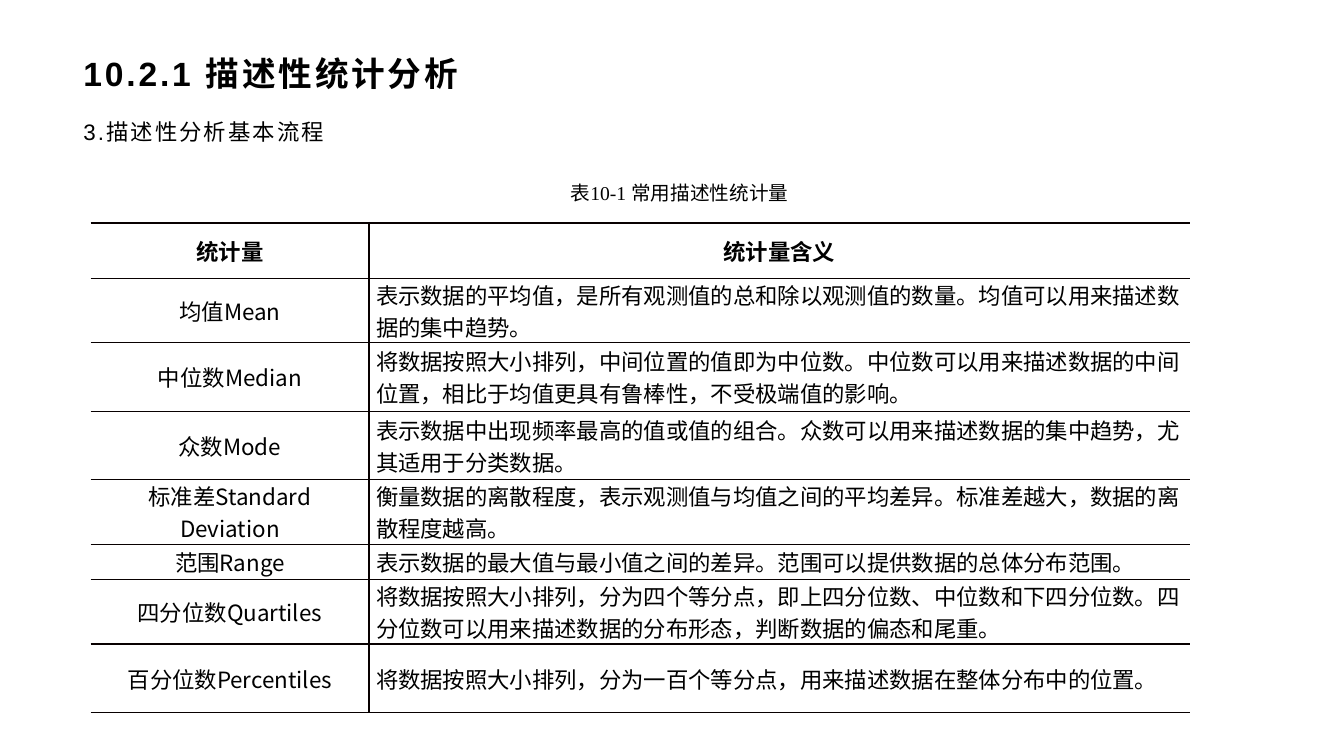
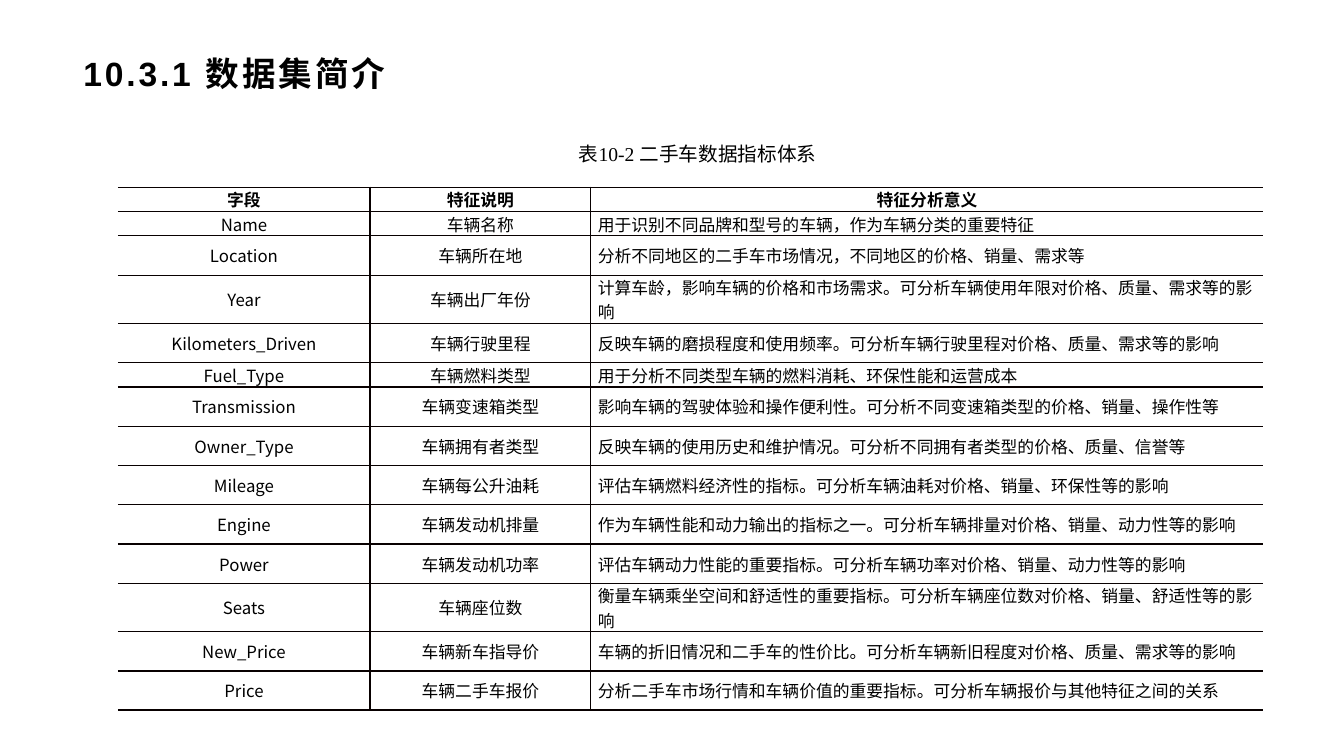
from dataclasses import dataclass

import pptx
import pptx.dml.color
import pptx.enum.text
import pptx.oxml
import pptx.oxml.ns
import pptx.presentation
import pptx.slide
import pptx.table
import pptx.text.text
import pptx.util

Inches = pptx.util.Inches
Align = pptx.enum.text.PP_ALIGN
Anchor = pptx.enum.text.MSO_ANCHOR

COLORS = {"text": "000000", "rule": "080000"}
LATIN, HAN, SERIF = "Arial", "Noto Sans CJK SC", "Times New Roman"
PLAIN = "{2D5ABB26-0587-4C30-8999-92F81FD0307C}"
THIN, THICK = 1, 1.5


@dataclass
class Grid:
    left: float
    top: float
    cols: list[float]
    rows: list[float]
    size: int
    cells: list[tuple[str, ...]]


@dataclass
class Page:
    title: str
    label: str
    spot: tuple[float, float]
    grid: Grid
    lead: str = ""


PAGES = [
    Page(
        "10.2.1 描述性统计分析",
        "表10-1 常用描述性统计量",
        (3.89, 1.75),
        Grid(
            0.9, 2.21, [2.76, 8.14],
            [0.55, 0.64, 0.68, 0.68, 0.64, 0.35, 0.64, 0.68], 16,
            [
                ("统计量", "统计量含义"),
                ("均值Mean", "表示数据的平均值，是所有观测值的总和除以观测值的数量。均值可以用来描述数据的集中趋势。"),
                ("中位数Median", "将数据按照大小排列，中间位置的值即为中位数。中位数可以用来描述数据的中间位置，相比于均值更具有鲁棒性，不受极端值的影响。"),
                ("众数Mode", "表示数据中出现频率最高的值或值的组合。众数可以用来描述数据的集中趋势，尤其适用于分类数据。"),
                ("标准差Standard Deviation", "衡量数据的离散程度，表示观测值与均值之间的平均差异。标准差越大，数据的离散程度越高。"),
                ("范围Range", "表示数据的最大值与最小值之间的差异。范围可以提供数据的总体分布范围。"),
                ("四分位数Quartiles", "将数据按照大小排列，分为四个等分点，即上四分位数、中位数和下四分位数。四分位数可以用来描述数据的分布形态，判断数据的偏态和尾重。"),
                ("百分位数Percentiles", "将数据按照大小排列，分为一百个等分点，用来描述数据在整体分布中的位置。"),
            ],
        ),
        "3.描述性分析基本流程",
    ),
    Page(
        "10.3.1 数据集简介",
        "表10-2 二手车数据指标体系",
        (4.07, 1.36),
        Grid(
            1.17, 1.86, [2.5, 2.19, 6.67],
            [0.24, 0.24, 0.39, 0.48, 0.39, 0.24] + [0.39] * 5 + [0.48, 0.39, 0.39], 12,
            [
                ("字段", "特征说明", "特征分析意义"),
                ("Name", "车辆名称", "用于识别不同品牌和型号的车辆，作为车辆分类的重要特征"),
                ("Location", "车辆所在地", "分析不同地区的二手车市场情况，不同地区的价格、销量、需求等"),
                ("Year", "车辆出厂年份", "计算车龄，影响车辆的价格和市场需求。可分析车辆使用年限对价格、质量、需求等的影响"),
                ("Kilometers_Driven", "车辆行驶里程", "反映车辆的磨损程度和使用频率。可分析车辆行驶里程对价格、质量、需求等的影响"),
                ("Fuel_Type", "车辆燃料类型", "用于分析不同类型车辆的燃料消耗、环保性能和运营成本"),
                ("Transmission", "车辆变速箱类型", "影响车辆的驾驶体验和操作便利性。可分析不同变速箱类型的价格、销量、操作性等"),
                ("Owner_Type", "车辆拥有者类型", "反映车辆的使用历史和维护情况。可分析不同拥有者类型的价格、质量、信誉等"),
                ("Mileage", "车辆每公升油耗", "评估车辆燃料经济性的指标。可分析车辆油耗对价格、销量、环保性等的影响"),
                ("Engine", "车辆发动机排量", "作为车辆性能和动力输出的指标之一。可分析车辆排量对价格、销量、动力性等的影响"),
                ("Power", "车辆发动机功率", "评估车辆动力性能的重要指标。可分析车辆功率对价格、销量、动力性等的影响"),
                ("Seats", "车辆座位数", "衡量车辆乘坐空间和舒适性的重要指标。可分析车辆座位数对价格、销量、舒适性等的影响"),
                ("New_Price", "车辆新车指导价", "车辆的折旧情况和二手车的性价比。可分析车辆新旧程度对价格、质量、需求等的影响"),
                ("Price", "车辆二手车报价", "分析二手车市场行情和车辆价值的重要指标。可分析车辆报价与其他特征之间的关系"),
            ],
        ),
    ),
]


def write(frame: pptx.text.text.TextFrame, text: str, *, size: int, font: str = LATIN,
          bold: bool = False, align: Align = Align.LEFT, track: float = 0,
          indent: float = 0, lines: float = 1) -> None:
    """Fill a frame with one formatted paragraph; track is in points."""
    frame.word_wrap = True
    para = frame.paragraphs[0]
    para.alignment = align
    para.line_spacing = lines
    if indent:
        para._p.get_or_add_pPr().set("indent", str(Inches(indent)))
    run = para.add_run()
    run.text = text
    run.font.name = font
    run.font.size = pptx.util.Pt(size)
    run.font.bold = bold
    run.font.color.rgb = pptx.dml.color.RGBColor.from_string(COLORS["text"])
    props = run._r.get_or_add_rPr()
    if track:
        props.set("spc", str(int(track * 100)))
    latin = props.find(pptx.oxml.ns.qn("a:latin"))
    latin.addnext(pptx.oxml.parse_xml(
        f'<a:ea {pptx.oxml.ns.nsdecls("a")} typeface="{HAN}"/>'))


def add_box(slide: pptx.slide.Slide, left: float, top: float, width: float,
            height: float) -> pptx.text.text.TextFrame:
    box = slide.shapes.add_textbox(
        Inches(left), Inches(top), Inches(width), Inches(height))
    return box.text_frame


def add_rule(cell: pptx.table._Cell, side: str, width: float) -> None:
    """Draw one cell border; call in the order L, R, T, B."""
    cell._tc.get_or_add_tcPr().append(pptx.oxml.parse_xml(
        f'<a:ln{side} {pptx.oxml.ns.nsdecls("a")} w="{pptx.util.Pt(width)}">'
        f'<a:solidFill><a:srgbClr val="{COLORS["rule"]}"/></a:solidFill>'
        f'</a:ln{side}>'))


def add_grid(slide: pptx.slide.Slide, grid: Grid) -> None:
    """Add a table with inner rules, heavy ends and open sides."""
    rows, cols = len(grid.rows), len(grid.cols)
    table = slide.shapes.add_table(
        rows, cols, Inches(grid.left), Inches(grid.top),
        Inches(sum(grid.cols)), Inches(sum(grid.rows))).table
    table.first_row = table.horz_banding = False
    table._tbl.tblPr.find(pptx.oxml.ns.qn("a:tableStyleId")).text = PLAIN
    for col, width in zip(table.columns, grid.cols):
        col.width = Inches(width)
    for row, height in zip(table.rows, grid.rows):
        row.height = Inches(height)
    for r, texts in enumerate(grid.cells):
        for c, text in enumerate(texts):
            cell = table.cell(r, c)
            head, last = r == 0, c == cols - 1
            if c > 0:
                add_rule(cell, "L", THIN)
            if not last:
                add_rule(cell, "R", THIN)
            add_rule(cell, "T", THICK if head else THIN)
            add_rule(cell, "B", THICK if r == rows - 1 else THIN)
            cell.fill.background()
            cell.margin_left = cell.margin_right = Inches(0.07)
            cell.margin_top = cell.margin_bottom = 0
            cell.vertical_anchor = Anchor.MIDDLE
            write(cell.text_frame, text, size=grid.size, font=HAN, bold=head,
                  align=Align.LEFT if last and not head else Align.CENTER)


def add_page(deck: pptx.presentation.Presentation, page: Page) -> None:
    slide = deck.slides.add_slide(deck.slide_layouts[6])
    title = add_box(slide, 0.73, 0.48, 11.87, 0.48)
    title.vertical_anchor = Anchor.MIDDLE
    write(title, page.title, size=24, bold=True, track=2)
    if page.lead:
        write(add_box(slide, 0.73, 1.04, 11.87, 0.6), page.lead,
              size=16, track=1.5, lines=1.3)
    add_grid(slide, page.grid)
    label = add_box(slide, *page.spot, 5.56, 0.34)
    label.auto_size = pptx.enum.text.MSO_AUTO_SIZE.SHAPE_TO_FIT_TEXT
    write(label, page.label, size=14, font=SERIF, align=Align.CENTER, indent=0.14)


def main() -> None:
    deck = pptx.Presentation()
    deck.slide_width, deck.slide_height = Inches(13.33), Inches(7.5)
    for page in PAGES:
        add_page(deck, page)
    deck.save("out.pptx")


if __name__ == "__main__":
    main()
